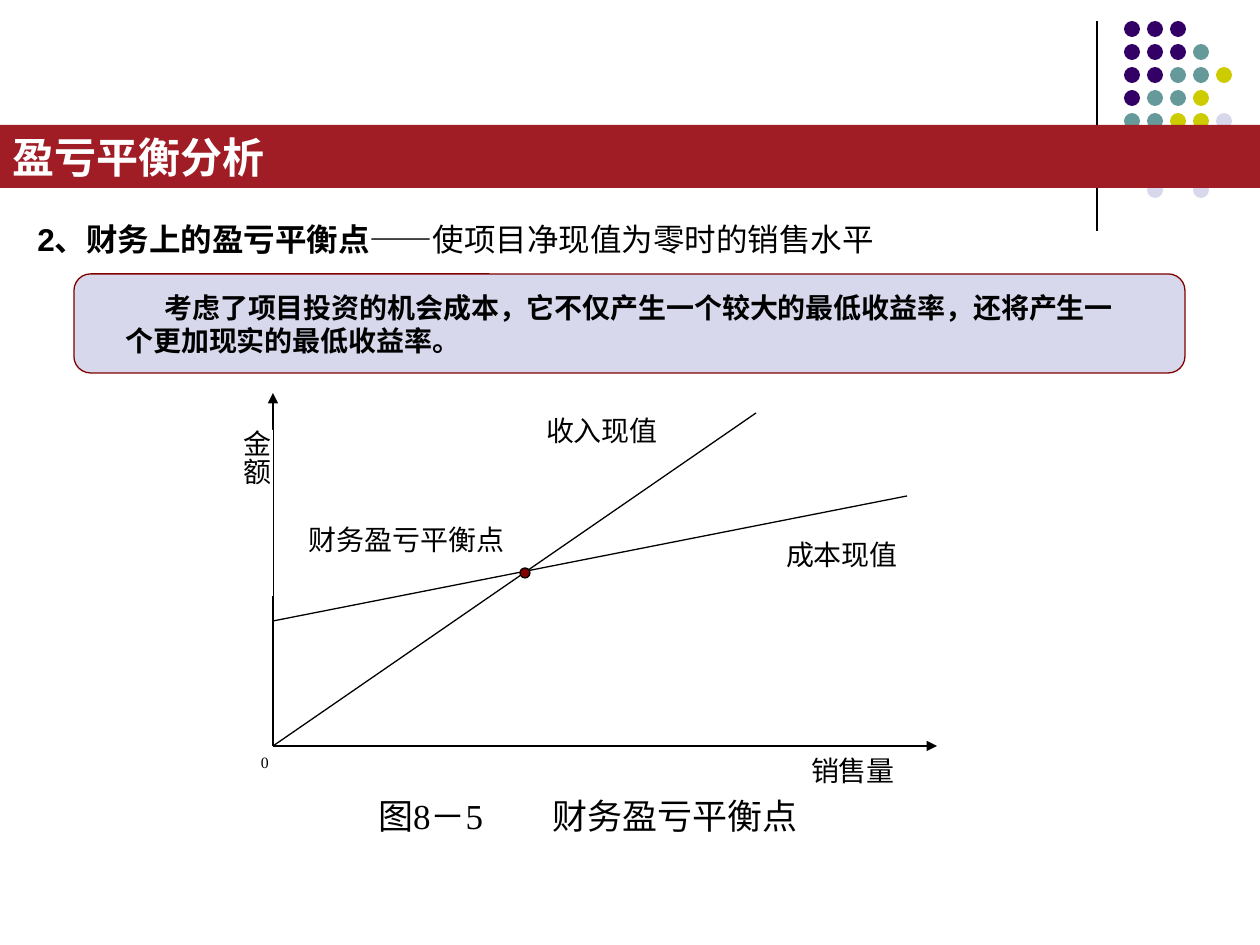
from lxml import etree
from pptx import Presentation
from pptx.dml.color import RGBColor
from pptx.enum.shapes import MSO_CONNECTOR, MSO_SHAPE
from pptx.enum.text import MSO_ANCHOR, PP_ALIGN
from pptx.oxml.ns import qn
from pptx.util import Pt

PX = 914400 / 126
RECT, ROUND, OVAL = MSO_SHAPE.RECTANGLE, MSO_SHAPE.ROUNDED_RECTANGLE, MSO_SHAPE.OVAL
STRAIGHT = MSO_CONNECTOR.STRAIGHT
JUSTIFY, LEFT = PP_ALIGN.JUSTIFY, PP_ALIGN.LEFT
TOP, MIDDLE = MSO_ANCHOR.TOP, MSO_ANCHOR.MIDDLE
SANS, SERIF = "Arial", "Times New Roman"

BLACK = RGBColor(0, 0, 0)
WHITE = RGBColor(0xFF, 0xFF, 0xFF)
RED = RGBColor(0xA1, 0x1D, 0x26)
MAROON = RGBColor(0x80, 0, 0)
PURPLE = RGBColor(0x33, 0, 0x66)
TEAL = RGBColor(0x66, 0x99, 0x99)
OLIVE = RGBColor(0xCC, 0xCC, 0)
LILAC = RGBColor(0xD8, 0xD8, 0xEC)

DOTS = {"P": PURPLE, "T": TEAL, "O": OLIVE, "L": LILAC}
# Two rows stay empty behind the title bar.
DOT_ROWS = ["PPP", "PPPT", "PPTTO", "PTTO", "TTOOL", "", "", " L L"]
LABELS = [
    ("销售量", (811, 753, 121, 42)),
    ("收入现值", (546, 413, 121, 42)),
    ("财务盈亏平衡点", (309, 523, 212, 42)),
    ("成本现值", (786, 538, 121, 42)),
]


def px(num):
    return round(num * PX)


def add_shape(slide, kind, box, fill, edge=None):
    shape = slide.shapes.add_shape(kind, *map(px, box))
    shape.shadow.inherit = False
    shape.fill.solid()
    shape.fill.fore_color.rgb = fill
    if edge is None:
        shape.line.fill.background()
    else:
        shape.line.color.rgb = edge
        shape.line.width = Pt(0.75)
    return shape


def add_line(slide, start, end, arrow=False):
    line = slide.shapes.add_connector(STRAIGHT, *map(px, start + end))
    line.line.color.rgb = BLACK
    line.line.width = Pt(0.75)
    if arrow:
        tail = etree.SubElement(line.line._get_or_add_ln(), qn("a:tailEnd"))
        tail.set("type", "triangle")
    etree.SubElement(line._element.spPr, qn("a:effectLst"))


def set_text(shape, text, size, face, color=BLACK, bold=False, align=JUSTIFY, anchor=TOP):
    """Fill a shape with one paragraph in one style and return the paragraph."""
    frame = shape.text_frame
    frame.text = text
    frame.word_wrap = True
    frame.vertical_anchor = anchor
    para = frame.paragraphs[0]
    para.alignment = align
    for run in para.runs:
        run.font.size = Pt(size)
        run.font.name = face
        run.font.color.rgb = color
        run.font.bold = bold
    return para


def add_label(slide, text, box, size=16):
    shape = add_shape(slide, RECT, box, WHITE)
    set_text(shape, text, size, SERIF)
    frame = shape.text_frame
    frame.margin_left = frame.margin_right = 0
    frame.margin_top = frame.margin_bottom = 0
    return shape


def add_dots(slide):
    for row, codes in enumerate(DOT_ROWS):
        for col, code in enumerate(codes):
            if code in DOTS:
                box = (1124 + 23 * col, 21 + 23 * row, 16, 16)
                add_shape(slide, OVAL, box, DOTS[code])


def add_heads(slide):
    bar = add_shape(slide, RECT, (0, 125, 1260, 63), RED)
    set_text(bar, "盈亏平衡分析", 24, SANS, WHITE, True)
    box = slide.shapes.add_textbox(*map(px, (25, 214, 1072, 50)))
    para = set_text(box, "2、财务上的盈亏平衡点——", 18, SANS, bold=True,
                    align=LEFT, anchor=MIDDLE)
    run = para.add_run()
    run.text = "使项目净现值为零时的销售水平"
    run.font.size = Pt(18)
    run.font.name = SANS
    run.font.color.rgb = BLACK
    run.font.bold = False


def add_graph(slide):
    zero = (273, 746)
    add_line(slide, zero, (273, 393), True)
    add_line(slide, zero, (937, 746), True)
    add_line(slide, zero, (756, 413))
    add_line(slide, (273, 621), (907, 496))
    for text, box in LABELS:
        add_label(slide, text, box)
    money = add_label(slide, "金额", (213, 430, 60, 166))
    money.text_frame._txBody.bodyPr.set("vert", "eaVert")
    add_label(slide, "0", (261, 753, 30, 42), 9)


def add_caption(slide):
    shape = add_shape(slide, RECT, (334, 788, 634, 62), WHITE)
    para = set_text(shape, "图8－5\t财务盈亏平衡点", 20, SERIF)
    shape.text_frame.margin_left = px(44)
    tabs = etree.SubElement(para._p.get_or_add_pPr(), qn("a:tabLst"))
    etree.SubElement(tabs, qn("a:tab"), pos=str(px(174)), algn="l")


def add_note(slide):
    add_shape(slide, ROUND, (74, 274, 1111, 99), LILAC, MAROON)
    box = slide.shapes.add_textbox(*map(px, (113, 284, 1032, 79)))
    text = "考虑了项目投资的机会成本，它不仅产生一个较大的最低收益率，还将产生一个更加现实的最低收益率。"
    para = set_text(box, text, 16, SANS, bold=True, align=LEFT)
    para._p.get_or_add_pPr().set("indent", str(px(39)))


def main():
    deck = Presentation()
    deck.slide_width, deck.slide_height = px(1260), px(945)
    slide = deck.slides.add_slide(deck.slide_layouts[6])
    add_line(slide, (1097, 21), (1097, 231))
    add_dots(slide)
    add_heads(slide)
    add_graph(slide)
    add_caption(slide)
    add_note(slide)
    add_shape(slide, OVAL, (520, 568, 10, 10), MAROON, BLACK)
    deck.save("out.pptx")


if __name__ == "__main__":
    main()
